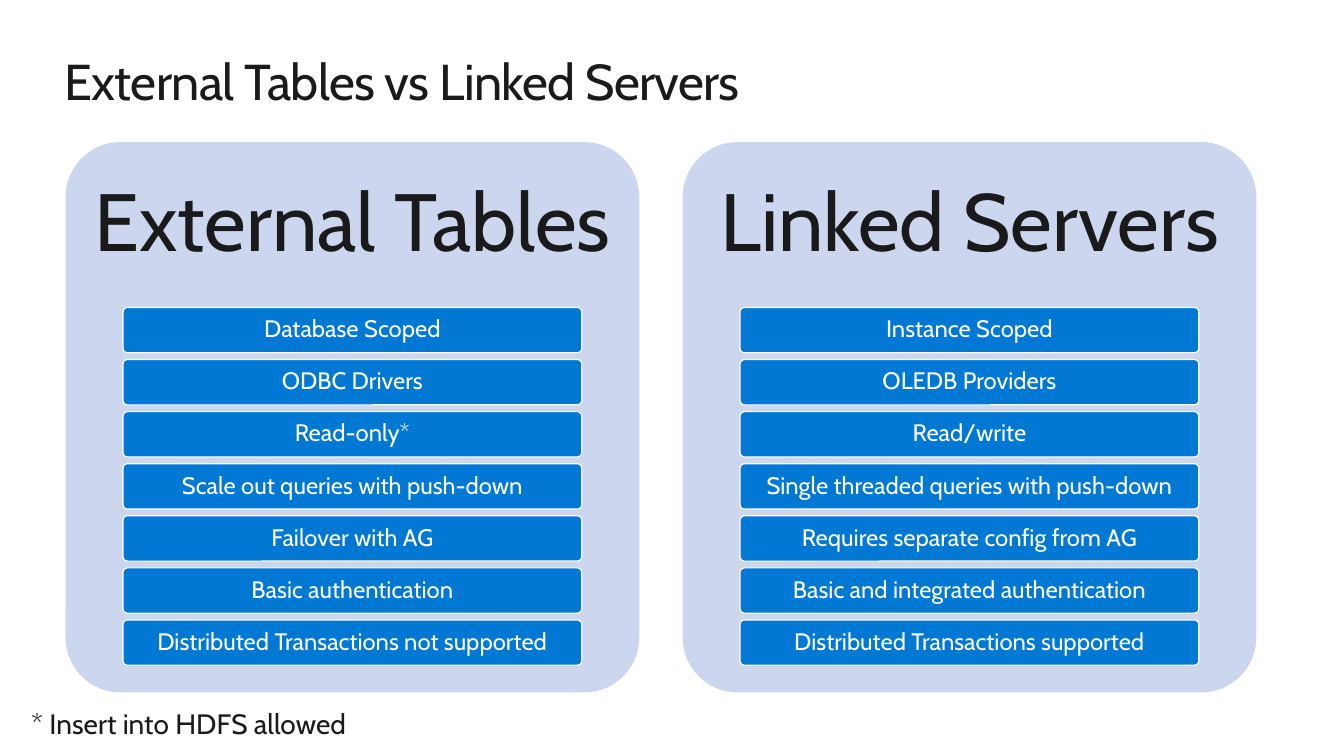
import pptx
import pptx.util
import pptx.dml.color
import pptx.enum.shapes
import pptx.enum.text
from pptx.util import Inches

FONT = "Cabin"
DARK, WHITE, PANEL_BLUE, BAR_BLUE = "1A1A1A", "FFFFFF", "CCD6EF", "0078D4"
ALIGN = pptx.enum.text.PP_ALIGN
ANCHOR = pptx.enum.text.MSO_ANCHOR

PANEL_TOP, PANEL_WIDTH, PANEL_HEIGHT = 1.41, 5.69, 5.46
HEADING_HEIGHT = 1.64
BAR_WIDTH, BAR_HEIGHT = 4.55, 0.45
FIRST_BAR_TOP, LAST_BAR_TOP = 3.05, 6.15

PANELS = [
    (0.65, "External Tables", [
        "Database Scoped",
        "ODBC Drivers",
        "Read-only*",
        "Scale out queries with push-down",
        "Failover with AG",
        "Basic authentication",
        "Distributed Transactions not supported",
    ]),
    (6.77, "Linked Servers", [
        "Instance Scoped",
        "OLEDB Providers",
        "Read/write",
        "Single threaded queries with push-down",
        "Requires separate config from AG",
        "Basic and integrated authentication",
        "Distributed Transactions supported",
    ]),
]


def rgb(value):
    return pptx.dml.color.RGBColor.from_string(value)


def apply(target, formats):
    for name, value in formats.items():
        setattr(target, name, value)


def write(shape, text, size, color, inset=(0, 0), align=ALIGN.LEFT,
          anchor=ANCHOR.TOP, line_spacing=1.0, wrap=True):
    """Put one formatted paragraph into a shape; inset is (sides, top and bottom)."""
    frame = shape.text_frame
    sides, ends = map(Inches, inset)
    apply(frame, {"word_wrap": wrap, "vertical_anchor": anchor,
                  "margin_left": sides, "margin_right": sides,
                  "margin_top": ends, "margin_bottom": ends})
    paragraph = frame.paragraphs[0]
    apply(paragraph, {"alignment": align, "line_spacing": line_spacing})
    run = paragraph.add_run()
    run.text = text
    apply(run.font, {"name": FONT, "size": pptx.util.Pt(size)})
    run.font.color.rgb = rgb(color)
    return run


def add_text(slide, box, text, size, color, **formats):
    shape = slide.shapes.add_textbox(*map(Inches, box))
    write(shape, text, size, color, **formats)


def add_rounded(slide, box, fill, line=None):
    shape = slide.shapes.add_shape(
        pptx.enum.shapes.MSO_SHAPE.ROUNDED_RECTANGLE, *map(Inches, box))
    shape.adjustments[0] = 0.1
    shape.shadow.inherit = False
    shape.fill.solid()
    shape.fill.fore_color.rgb = rgb(fill)
    if line:
        shape.line.color.rgb = rgb(line)
        shape.line.width = pptx.util.Pt(0.85)
    else:
        shape.line.fill.background()
    return shape


def add_title(slide, text):
    title = slide.shapes.title
    apply(title, {"left": Inches(0.64), "top": Inches(0.5),
                  "width": Inches(12.05), "height": Inches(0.61)})
    run = write(title, text, 36, DARK)
    run.font._element.set("spc", "-50")  # slightly tighter letters


def add_panel(slide, left, heading, items):
    centered = {"align": ALIGN.CENTER, "anchor": ANCHOR.MIDDLE, "line_spacing": 0.9}
    add_rounded(slide, (left, PANEL_TOP, PANEL_WIDTH, PANEL_HEIGHT), PANEL_BLUE)
    add_text(slide, (left, PANEL_TOP, PANEL_WIDTH, HEADING_HEIGHT),
             heading, 58, DARK, inset=(0.24, 0.24), **centered)

    # Evenly spaced bars, centred in the panel
    bar_left = left + (PANEL_WIDTH - BAR_WIDTH) / 2
    pitch = (LAST_BAR_TOP - FIRST_BAR_TOP) / (len(items) - 1)
    for index, item in enumerate(items):
        top = FIRST_BAR_TOP + index * pitch
        bar = add_rounded(slide, (bar_left, top, BAR_WIDTH, BAR_HEIGHT), BAR_BLUE, WHITE)
        write(bar, item, 17, WHITE, inset=(0.06, 0.05), **centered)


def main():
    presentation = pptx.Presentation()
    apply(presentation, {"slide_width": Inches(13.33), "slide_height": Inches(7.5)})
    slide = presentation.slides.add_slide(presentation.slide_layouts.get_by_name("Title Only"))

    # Title
    add_title(slide, "External Tables vs Linked Servers")

    # Comparison panels
    for left, heading, items in PANELS:
        add_panel(slide, left, heading, items)

    # Footnote
    add_text(slide, (0.31, 7.01, 3.25, 0.34), "* Insert into HDFS allowed",
             20, DARK, wrap=False)

    presentation.save("out.pptx")


if __name__ == "__main__":
    main()
